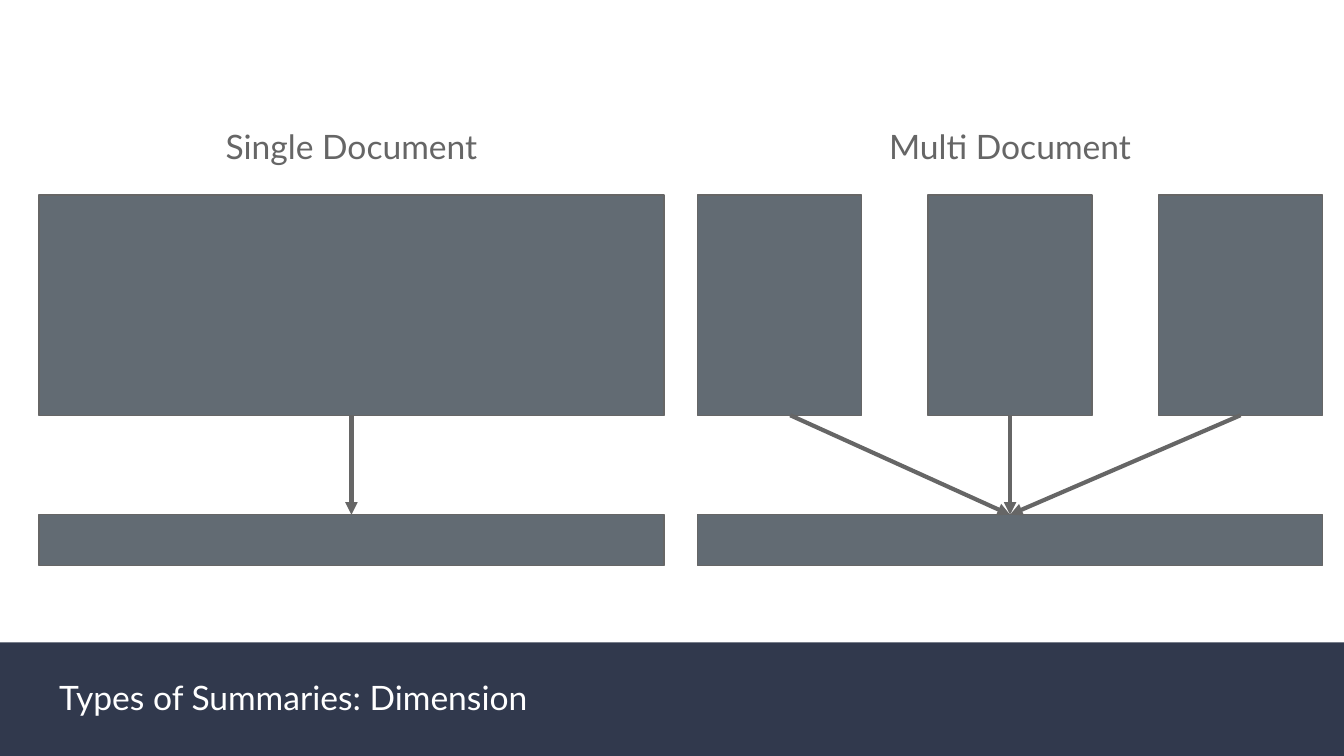
"""Build a slide comparing single-document and multi-document summaries."""
from dataclasses import dataclass

import lxml.etree
import pptx
import pptx.dml.color
import pptx.enum.shapes
import pptx.enum.text
import pptx.oxml.ns
import pptx.util

Inches = pptx.util.Inches
ALIGN = pptx.enum.text.PP_ALIGN
ANCHOR = pptx.enum.text.MSO_ANCHOR
COLORS = {"navy": "31394D", "slate": "626B73", "gray": "666666", "white": "FFFFFF"}
BOTTOM_SIDE, TOP_SIDE = 2, 0
SLIDE_WIDTH = 10
SLIDE_HEIGHT = SLIDE_WIDTH * 9 / 16
BAND_TOP = 4.78
SOURCE_TOP, SOURCE_HEIGHT = 1.45, 1.64
SUMMARY_TOP, SUMMARY_HEIGHT = 3.83, 0.38
PANEL_WIDTH, HEADING_WIDTH = 4.65, 2.75


@dataclass(frozen=True)
class Box:
    left: float
    top: float
    width: float
    height: float

    def lengths(self) -> list:
        return [Inches(v) for v in (self.left, self.top, self.width, self.height)]


@dataclass(frozen=True)
class Panel:
    heading: str
    left: float
    source_count: int
    source_width: float
    start_shifts: tuple


PANELS = [
    Panel("Single Document", 0.29, 1, PANEL_WIDTH, (0,)),
    Panel("Multi Document", 5.19, 3, 1.22, (0.08, 0, 0)),
]


def rgb(name: str):
    return pptx.dml.color.RGBColor.from_string(COLORS[name])


def write(shape, text: str, *, color: str, align=ALIGN.LEFT, anchor=ANCHOR.TOP,
          size: float = 18, font: str = "Lato") -> None:
    frame = shape.text_frame
    frame.text = text
    frame.word_wrap = True
    frame.auto_size = pptx.enum.text.MSO_AUTO_SIZE.NONE
    frame.vertical_anchor = anchor
    frame.margin_left = frame.margin_right = Inches(0.1)
    frame.margin_top = frame.margin_bottom = Inches(0.1)
    paragraph = frame.paragraphs[0]
    paragraph.alignment = align
    paragraph.font.name = font
    paragraph.font.size = pptx.util.Pt(size)
    paragraph.font.bold = False
    paragraph.font.color.rgb = rgb(color)


def add_block(slide, box: Box, fill: str, outline: str = ""):
    block = slide.shapes.add_shape(
        pptx.enum.shapes.MSO_SHAPE.RECTANGLE, *box.lengths())
    block.shadow.inherit = False
    block.fill.solid()
    block.fill.fore_color.rgb = rgb(fill)
    if outline:
        block.line.color.rgb = rgb(outline)
        block.line.width = pptx.util.Pt(0.75)
    else:
        block.line.fill.background()
    return block


def add_arrow(slide, source, summary, shift: float) -> None:
    start_x = source.left + source.width // 2 + Inches(shift)
    arrow = slide.shapes.add_connector(
        pptx.enum.shapes.MSO_CONNECTOR.STRAIGHT,
        start_x, source.top + source.height,
        summary.left + summary.width // 2, summary.top)
    if not shift:
        arrow.begin_connect(source, BOTTOM_SIDE)
    arrow.end_connect(summary, TOP_SIDE)
    arrow.line.color.rgb = rgb("gray")
    arrow.line.width = pptx.util.Pt(2.25)
    qn = pptx.oxml.ns.qn
    lxml.etree.SubElement(arrow.line._get_or_add_ln(), qn("a:tailEnd"), type="triangle")
    lxml.etree.SubElement(arrow._element.spPr, qn("a:effectLst"))


def add_panel(slide, panel: Panel) -> None:
    heading_left = panel.left + (PANEL_WIDTH - HEADING_WIDTH) / 2
    heading = slide.shapes.add_textbox(
        *Box(heading_left, 0.84, HEADING_WIDTH, 0.5).lengths())
    write(heading, panel.heading, color="gray", align=ALIGN.CENTER)
    pitch = (PANEL_WIDTH - panel.source_width) / max(panel.source_count - 1, 1)
    sources = [
        add_block(slide, Box(panel.left + i * pitch, SOURCE_TOP,
                             panel.source_width, SOURCE_HEIGHT), "slate", "gray")
        for i in range(panel.source_count)
    ]
    summary = add_block(
        slide, Box(panel.left, SUMMARY_TOP, PANEL_WIDTH, SUMMARY_HEIGHT), "slate", "gray")
    for source, shift in zip(sources, panel.start_shifts):
        add_arrow(slide, source, summary, shift)


def main() -> None:
    presentation = pptx.Presentation()
    presentation.slide_width = Inches(SLIDE_WIDTH)
    presentation.slide_height = Inches(SLIDE_HEIGHT)
    slide = presentation.slides.add_slide(presentation.slide_layouts[5])
    slide.background.fill.solid()
    slide.background.fill.fore_color.rgb = rgb("white")

    title = slide.shapes.title
    title.left, title.top, title.width, title.height = Box(0.34, 4.94, 8.73, 0.5).lengths()
    write(title, "Types of Summaries: Dimension", color="white", anchor=ANCHOR.MIDDLE)
    footer_band = add_block(
        slide, Box(0, BAND_TOP, SLIDE_WIDTH, SLIDE_HEIGHT - BAND_TOP), "navy")
    title._element.addprevious(footer_band._element)

    for panel in PANELS:
        add_panel(slide, panel)
    presentation.save("out.pptx")


if __name__ == "__main__":
    main()
